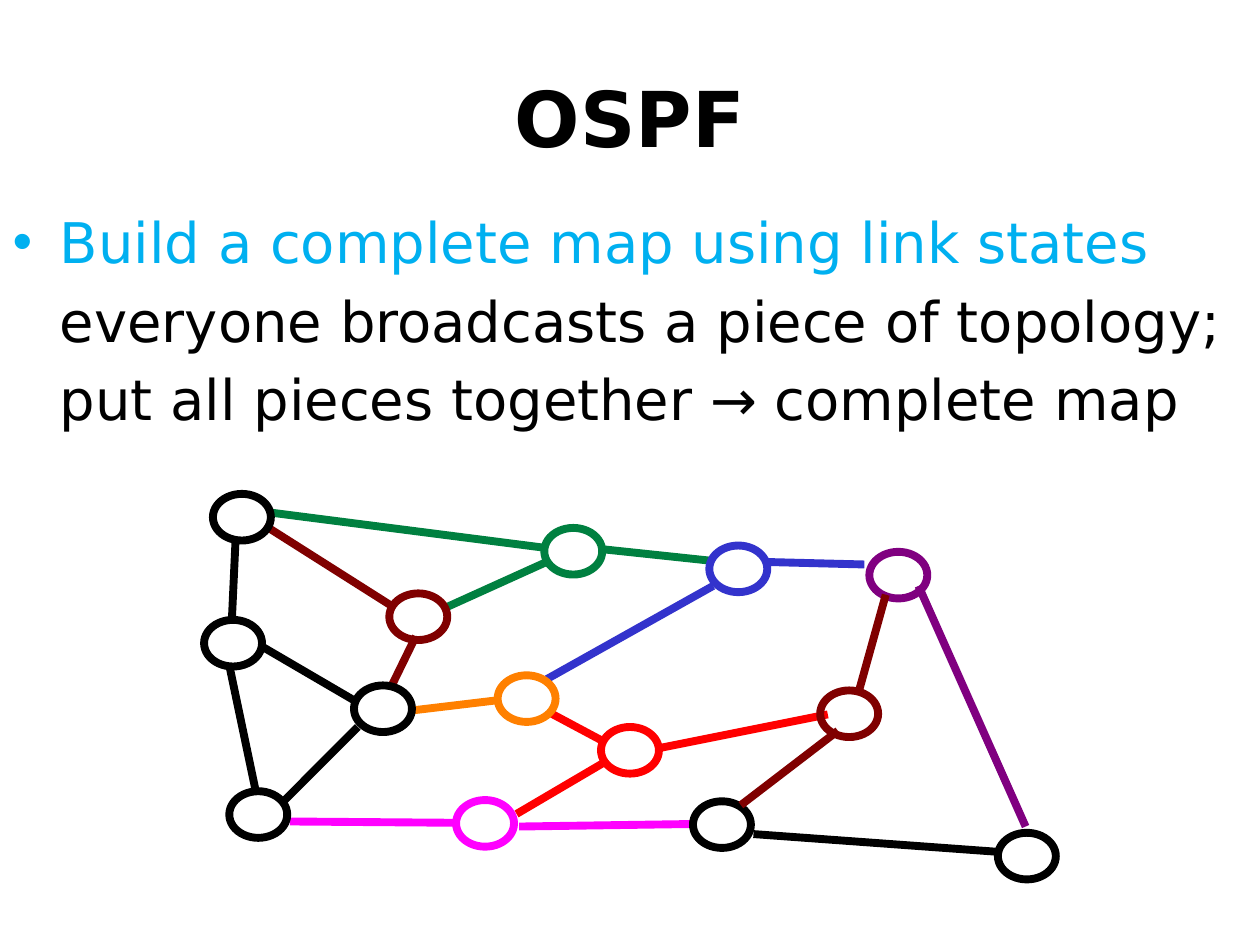
from lxml.etree import SubElement
from pptx import Presentation
from pptx.dml.color import RGBColor
from pptx.enum.shapes import MSO_CONNECTOR, MSO_SHAPE
from pptx.enum.text import MSO_ANCHOR, MSO_AUTO_SIZE, PP_ALIGN
from pptx.oxml.ns import qn
from pptx.util import Inches, Pt

NODE_W, NODE_H = 0.46, 0.37

BODY = [
    ("Build a complete map using link states", "00B0F0", True),
    ("everyone broadcasts a piece of topology;", "000000", False),
    ("put all pieces together → complete map", "000000", False),
]

LINK_STATES = [
    ("008040", [(4.32, 4.19)],
     [(3.52, 4.83, 4.36, 4.45), (4.79, 4.36, 5.64, 4.45), (2.16, 4.07, 4.34, 4.35)]),
    ("3333CC", [(5.63, 4.33)],
     [(6.07, 4.46, 6.86, 4.48), (4.34, 5.39, 5.66, 4.65)]),
    ("800080", [(6.9, 4.38)], [(7.29, 4.65, 8.14, 6.56)]),
    ("FF0000", [(4.77, 5.77)],
     [(4.1, 6.46, 4.78, 6.06), (4.37, 5.66, 4.8, 5.89), (5.22, 5.94, 6.57, 5.67)]),
    ("800000", [(3.09, 4.71)],
     [(2.1, 4.17, 3.11, 4.81), (3.3, 5.05, 3.1, 5.46)]),
    ("FF8000", [(3.95, 5.36)], [(3.26, 5.64, 3.93, 5.56)]),
    ("FF00FF", [(3.62, 6.35)],
     [(2.3, 6.52, 3.6, 6.53), (4.12, 6.56, 5.49, 6.54)]),
    ("000000",
     [(1.62, 4.92), (2.81, 5.44), (7.92, 6.61), (1.82, 6.28), (1.69, 3.92), (5.5, 6.36)],
     [(1.87, 4.28, 1.84, 4.93), (2.03, 6.28, 1.82, 5.28), (2.06, 5.12, 2.83, 5.57),
      (2.25, 6.36, 2.84, 5.77), (5.98, 6.62, 7.91, 6.76)]),
    ("800000", [(6.51, 5.48)],
     [(7.03, 4.72, 6.81, 5.51), (6.65, 5.8, 5.88, 6.39)]),
]


def rgb(value):
    return RGBColor.from_string(value)


def apply(target, values):
    for name, value in values.items():
        setattr(target, name, value)


class SlideBuilder:
    title_font = {"name": "DejaVu Sans", "size": Pt(44), "bold": True}
    body_font = {"name": "DejaVu Sans", "size": Pt(32)}
    line_width = Pt(4.5)

    def __init__(self, prs):
        self.s = prs.slides.add_slide(prs.slide_layouts[1])

    def place(self, sp, left, top, width, height):
        apply(sp, {"left": Inches(left), "top": Inches(top),
                   "width": Inches(width), "height": Inches(height)})
        apply(sp.text_frame, {"word_wrap": True, "auto_size": MSO_AUTO_SIZE.NONE})
        return sp.text_frame

    def run(self, p, text, font, color):
        r = p.add_run()
        r.text = text
        apply(r.font, font)
        r.font.color.rgb = rgb(color)

    def title(self, text, *box):
        tf = self.place(self.s.shapes.title, *box)
        tf.vertical_anchor = MSO_ANCHOR.MIDDLE
        p = tf.paragraphs[0]
        p.alignment = PP_ALIGN.CENTER
        self.run(p, text, self.title_font, "000000")

    def body(self, lines, *box):
        tf = self.place(self.s.placeholders[1], *box)
        for i, (text, color, bulleted) in enumerate(lines):
            p = tf.add_paragraph() if i else tf.paragraphs[0]
            self.run(p, text, self.body_font, color)
            if not bulleted:
                pPr = p._p.get_or_add_pPr()
                pPr.set("indent", "0")
                SubElement(pPr, qn("a:buNone"))

    def stroke(self, sp, color):
        sp.line.color.rgb = rgb(color)
        sp.line.width = self.line_width

    def node(self, group, color, left, top):
        sp = group.shapes.add_shape(MSO_SHAPE.OVAL, Inches(left), Inches(top),
                                    Inches(NODE_W), Inches(NODE_H))
        sp.shadow.inherit = False
        sp.fill.background()
        self.stroke(sp, color)

    def link(self, group, color, *ends):
        cxn = group.shapes.add_connector(MSO_CONNECTOR.STRAIGHT, *map(Inches, ends))
        self.stroke(cxn, color)
        SubElement(cxn._element.spPr, qn("a:effectLst"))

    def link_state(self, color, nodes, links):
        group = self.s.shapes.add_group_shape()
        for position in nodes:
            self.node(group, color, *position)
        for ends in links:
            self.link(group, color, *ends)


def main():
    prs = Presentation()
    apply(prs, {"slide_width": Inches(10), "slide_height": Inches(7.5)})
    slide = SlideBuilder(prs)
    slide.title("OSPF", 0, 0.3, 10, 1.25)
    slide.body(BODY, 0, 1.6, 10.17, 5.75)
    for color, nodes, links in LINK_STATES:
        slide.link_state(color, nodes, links)
    prs.save("out.pptx")


if __name__ == "__main__":
    main()
